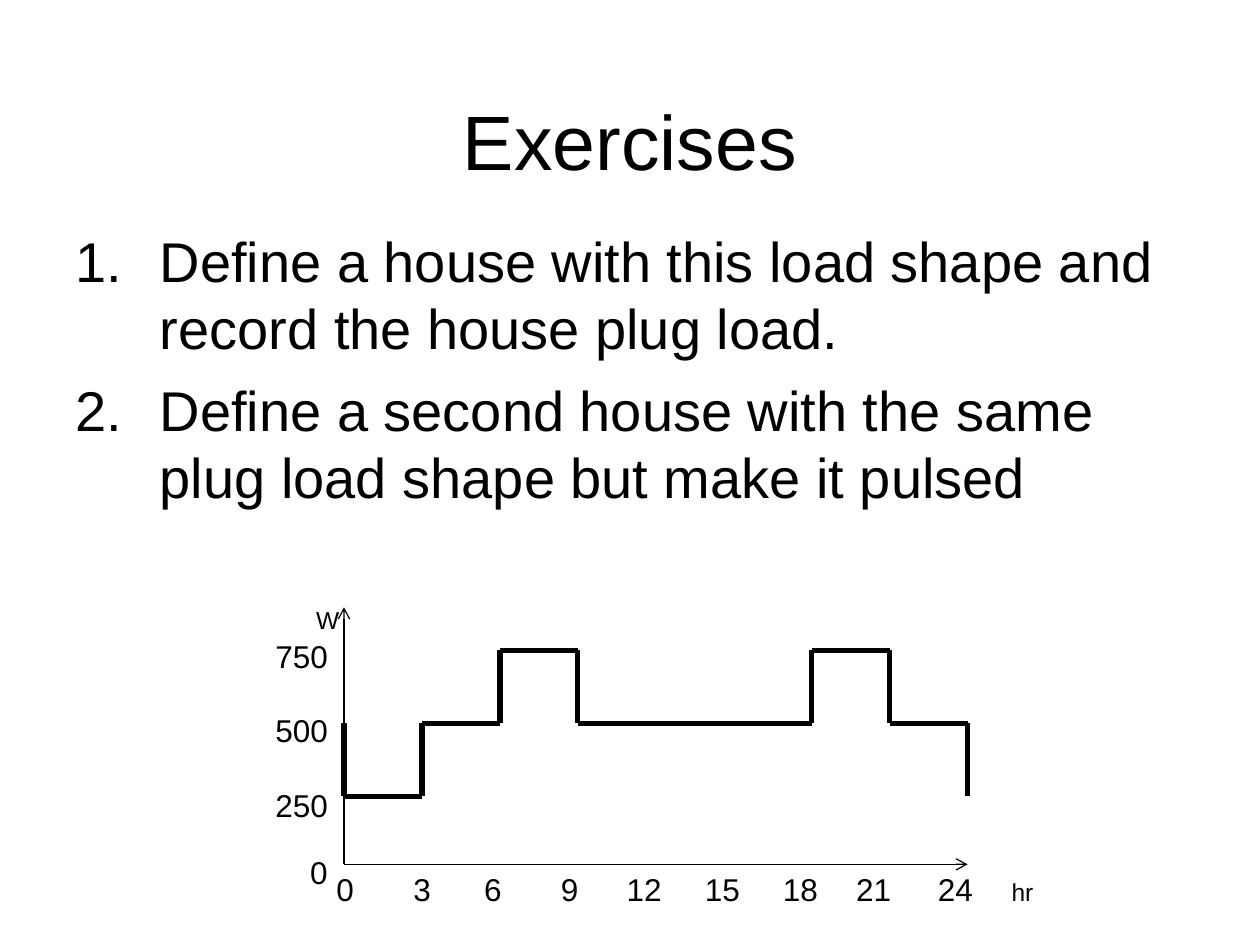
from lxml import etree
from pptx import Presentation
from pptx.dml.color import RGBColor
from pptx.enum.shapes import MSO_CONNECTOR
from pptx.enum.text import MSO_ANCHOR, PP_ALIGN
from pptx.oxml.ns import qn
from pptx.util import Inches, Pt

BLACK = RGBColor(0, 0, 0)
WHITE = RGBColor(255, 255, 255)
STRAIGHT = MSO_CONNECTOR.STRAIGHT
MIDDLE, TOP = MSO_ANCHOR.MIDDLE, MSO_ANCHOR.TOP
LEFT, MID, RIGHT = PP_ALIGN.LEFT, PP_ALIGN.CENTER, PP_ALIGN.RIGHT

TASKS = [
    "Define a house with this load shape and record the house plug load.",
    "Define a second house with the same plug load shape but make it pulsed",
]
AXIS_X, AXIS_Y = 2.73, 6.86
AXIS_END, AXIS_TOP = 7.68, 4.82
DAY = 24
LEVELS = {250: 6.32, 500: 5.74, 750: 5.16}
LOADS = [(0, 3, 250), (3, 6, 500), (6, 9, 750), (9, 18, 500),
         (18, 21, 750), (21, 24, 500)]
WATTS = [("250", 2.05, 6.19), ("0", 2.36, 6.72),
         ("500", 2.05, 5.59), ("750", 2.05, 5.01)]
HOURS = [2.57, 3.18, 3.74, 4.35, 4.87, 5.49, 6.11, 6.69, 7.34]
UNITS = [("W", 2.41, 4.75, 0.38), ("hr", 7.93, 6.91, 0.37)]


def put(item, **values):
    for name, value in values.items():
        setattr(item, name, value)


def add_text(shapes, box, lines, size, align=LEFT, anchor=TOP, wrap=False):
    frame = shapes.add_textbox(*map(Inches, box)).text_frame
    put(frame, word_wrap=wrap, vertical_anchor=anchor, text="\n".join(lines))
    for para in frame.paragraphs:
        para.alignment = align
        put(para.runs[0].font, name="Arial", size=Pt(size))
        para.runs[0].font.color.rgb = BLACK
    return frame


def add_tasks(shapes):
    frame = add_text(shapes, (0.5, 1.75, 9, 4.95), TASKS, 32, wrap=True)
    for para in frame.paragraphs:
        para.space_before = Pt(8)
        props = para._p.get_or_add_pPr()
        props.set("marL", str(Inches(0.67)))
        props.set("indent", str(-Inches(0.67)))
        etree.SubElement(props, qn("a:buFont"), typeface="Arial")
        etree.SubElement(props, qn("a:buAutoNum"), type="arabicPeriod")


def add_line(shapes, start, end, width, arrow=False):
    link = shapes.add_connector(STRAIGHT, *map(Inches, start + end))
    put(link.line, width=Pt(width))
    link.line.color.rgb = BLACK
    if arrow:
        etree.SubElement(link.line._get_or_add_ln(), qn("a:tailEnd"), type="arrow")
    etree.SubElement(link._element.spPr, qn("a:effectLst"))


def hour_x(hour):
    return AXIS_X + (AXIS_END - AXIS_X) * hour / DAY


def add_axes(shapes):
    for end in ((AXIS_END, AXIS_Y), (AXIS_X, AXIS_TOP)):
        add_line(shapes, (AXIS_X, AXIS_Y), end, 0.75, arrow=True)
    for text, left, top in WATTS:
        add_text(shapes, (left, top, 2.7 - left, 0.4), [text], 18, RIGHT)
    for step, left in enumerate(HOURS):
        hour = 3 * step
        width = 0.34 if hour < 10 else 0.48
        align = MID if hour < 6 else RIGHT
        add_text(shapes, (left, AXIS_Y, width, 0.4), [str(hour)], 18, align)
    for text, left, top, width in UNITS:
        add_text(shapes, (left, top, width, 0.34), [text], 14)


def add_curve(shapes):
    level = LEVELS[500]
    for start, end, load in LOADS:
        x, y = hour_x(start), LEVELS[load]
        add_line(shapes, (x, level), (x, y), 3)
        add_line(shapes, (x, y), (hour_x(end), y), 3)
        level = y
    add_line(shapes, (AXIS_END, level), (AXIS_END, LEVELS[250]), 3)


def main():
    deck = Presentation()
    put(deck, slide_width=Inches(10), slide_height=Inches(7.5))
    slide = deck.slides.add_slide(deck.slide_layouts[6])
    slide.background.fill.solid()
    slide.background.fill.fore_color.rgb = WHITE
    add_text(slide.shapes, (0.5, 0.67, 9, 0.88), ["Exercises"], 44, MID, MIDDLE, True)
    add_tasks(slide.shapes)
    graph = slide.shapes.add_group_shape().shapes
    add_axes(graph)
    add_curve(graph)
    deck.save("out.pptx")


if __name__ == "__main__":
    main()
